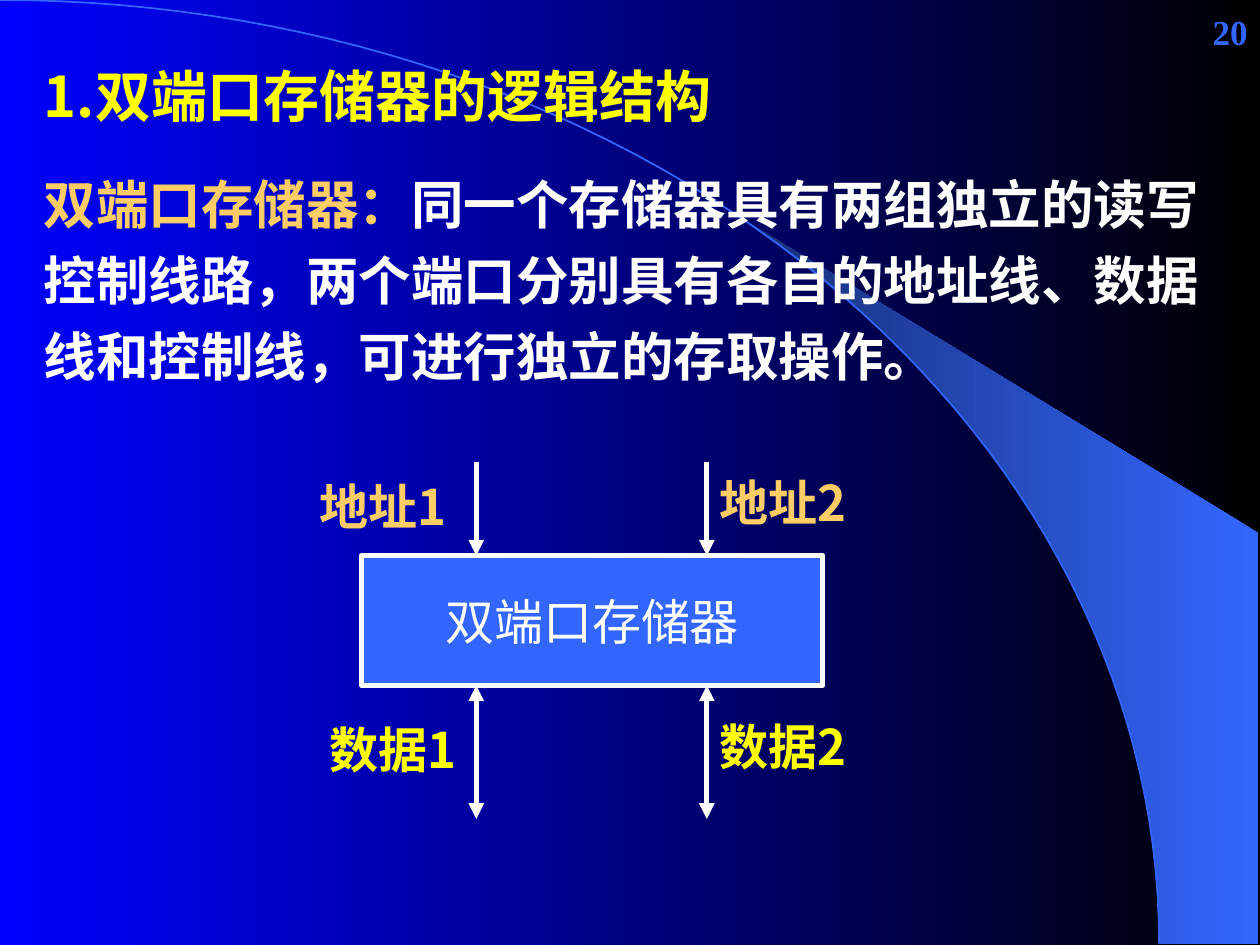
from math import asin, cos, pi, sin

from lxml.etree import SubElement
from pptx import Presentation
from pptx.dml.color import RGBColor
from pptx.enum.shapes import MSO_CONNECTOR, MSO_SHAPE
from pptx.enum.text import MSO_ANCHOR, MSO_AUTO_SIZE, PP_ALIGN
from pptx.oxml.ns import qn
from pptx.util import Inches, Pt

COLORS = {
    "black": "000000", "deep": "0000FF", "blue": "3366FF", "navy": "172F75",
    "white": "FFFFFF", "yellow": "FFFF00", "orange": "FFCC66",
}
RGB = {name: RGBColor.from_string(value) for name, value in COLORS.items()}
CJK = "Noto Sans CJK SC"


def style_run(run, size, color, latin=CJK, bold=True):
    run.font.size, run.font.bold, run.font.name = Pt(size), bold, latin
    run.font.color.rgb = RGB[color]
    SubElement(run.font._element, qn("a:ea")).set("typeface", CJK)


def add_text(left, top, width, height, text, size, color, latin=CJK, wrap=True):
    box = slide.shapes.add_textbox(Inches(left), Inches(top), Inches(width), Inches(height))
    frame = box.text_frame
    frame.text = text
    frame.word_wrap = wrap
    style_run(frame.paragraphs[0].runs[0], size, color, latin)
    return frame


prs = Presentation()
prs.slide_width, prs.slide_height = Inches(10), Inches(7.5)
slide = prs.slides.add_slide(prs.slide_layouts[6])

# Background: black at the right, blue at the left
backdrop = slide.background.fill
backdrop.gradient()
backdrop.gradient_angle = 180
for stop, color in zip(backdrop.gradient_stops, ("black", "deep")):
    stop.color.rgb = RGB[color]

# Quarter ellipse, and a beam that follows its lower part
radius_x, radius_y, steps = 9.2, 7.49, 60
beam_start = asin(5.89 / radius_x)
curves = []
for start in (0, beam_start):
    angles = [start + (pi / 2 - start) * i / steps for i in range(steps + 1)]
    curves.append([(Inches(radius_x * sin(a)), Inches(radius_y * (1 - cos(a)))) for a in angles])
arc_points, beam_points = curves
beam_points += [(Inches(9.99), Inches(7.49)), (Inches(9.99), Inches(4.23))]

builder = slide.shapes.build_freeform(*beam_points[0])
builder.add_line_segments(beam_points[1:], close=True)
beam = builder.convert_to_shape()
beam.shadow.inherit = False
beam.line.fill.background()
beam.fill.gradient()
beam.fill.gradient_angle = 180
for stop, color in zip(beam.fill.gradient_stops, ("blue", "navy")):
    stop.color.rgb = RGB[color]

builder = slide.shapes.build_freeform(*arc_points[0])
builder.add_line_segments(arc_points[1:], close=False)
arc = builder.convert_to_shape()
arc.shadow.inherit = False
arc.fill.background()
arc.line.color.rgb = RGB["blue"]
arc.line.width = Pt(1)

# Title, definition and page number
title = add_text(0.25, 0.42, 9.33, 0.67, "1.双端口存储器的逻辑结构", 32, "yellow")
title.vertical_anchor = MSO_ANCHOR.MIDDLE

definition = add_text(0.25, 1.22, 9.67, 1.9, "双端口存储器：", 30, "orange", "Arial")
explanation = definition.paragraphs[0].add_run()
explanation.text = ("同一个存储器具有两组独立的读写控制线路，两个端口分别具有各自的地址线、"
                    "数据线和控制线，可进行独立的存取操作。")
style_run(explanation, 30, "white", "Arial")
definition.paragraphs[0].line_spacing = Pt(43.2)

page_number = add_text(7.92, 0, 2.08, 0.5, "20", 20, "blue", "Times New Roman")
page_number.vertical_anchor = MSO_ANCHOR.MIDDLE
page_number.paragraphs[0].alignment = PP_ALIGN.RIGHT

# Memory block with its port labels
memory = slide.shapes.add_shape(
    MSO_SHAPE.RECTANGLE, Inches(2.87), Inches(4.41), Inches(3.66), Inches(1.03))
memory.shadow.inherit = False
memory.fill.solid()
memory.fill.fore_color.rgb = RGB["blue"]
memory.line.color.rgb = RGB["white"]
memory.line.width = Pt(3)
memory.text_frame.text = "双端口存储器"
memory.text_frame.word_wrap = False
memory.text_frame.vertical_anchor = MSO_ANCHOR.MIDDLE
memory.text_frame.paragraphs[0].alignment = PP_ALIGN.CENTER
style_run(memory.text_frame.paragraphs[0].runs[0], 28, "white", "Arial", bold=False)

for label, left, top, color in (
    ("地址1", 2.44, 3.73, "orange"), ("地址2", 5.61, 3.7, "orange"),
    ("数据1", 2.52, 5.66, "yellow"), ("数据2", 5.61, 5.64, "yellow"),
):
    port_label = add_text(left, top, 1.3, 0.57, label, 28, color, wrap=False)
    port_label.auto_size = MSO_AUTO_SIZE.SHAPE_TO_FIT_TEXT

# Address arrows point in, data arrows point both ways
for port_x in (3.78, 5.61):
    for top, bottom, ends in ((3.67, 4.41, ["tailEnd"]), (5.44, 6.5, ["headEnd", "tailEnd"])):
        arrow = slide.shapes.add_connector(
            MSO_CONNECTOR.STRAIGHT, Inches(port_x), Inches(top), Inches(port_x), Inches(bottom))
        arrow.line.color.rgb = RGB["white"]
        arrow.line.width = Pt(3)
        for end in ends:
            SubElement(arrow.line._get_or_add_ln(), qn(f"a:{end}")).set("type", "triangle")
        SubElement(arrow._element.spPr, qn("a:effectLst"))

prs.save("out.pptx")
